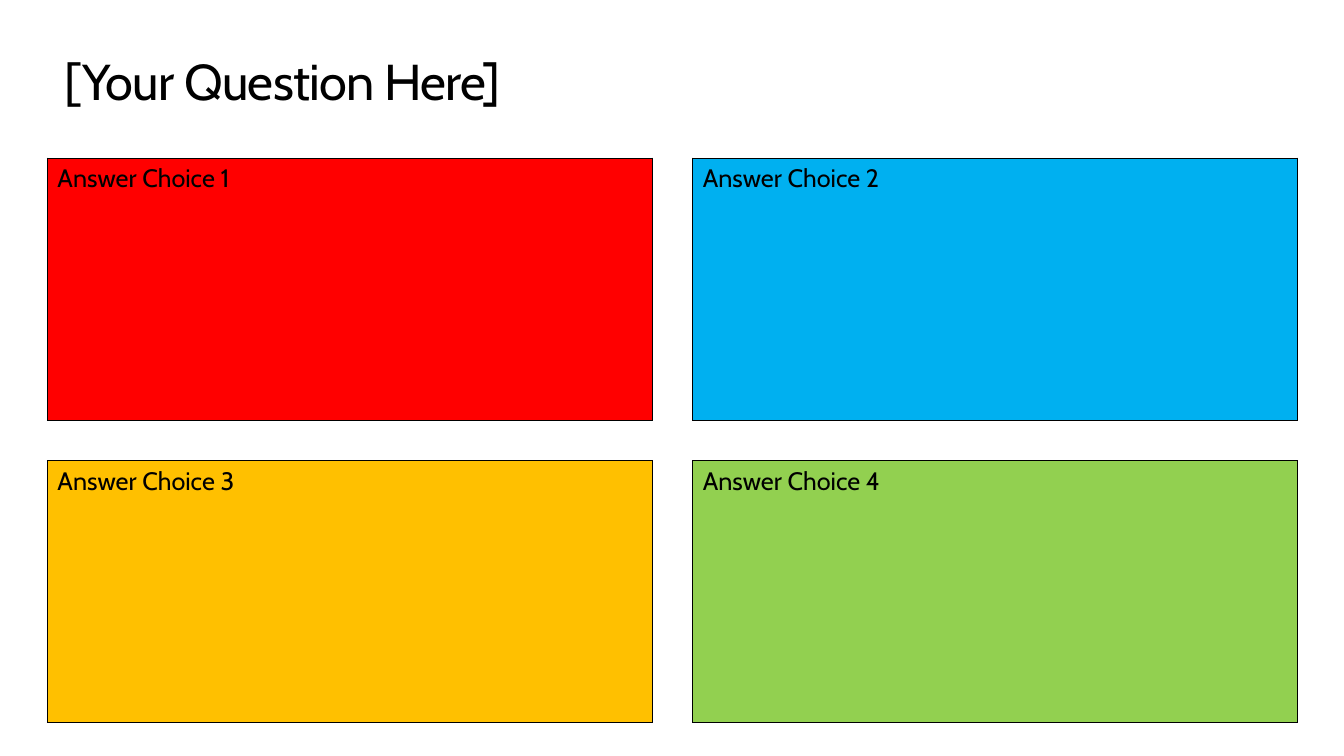
from pptx import Presentation
from pptx.dml.color import RGBColor as Rgb
from pptx.enum.text import MSO_ANCHOR as Anchor
from pptx.oxml import parse_xml
from pptx.oxml.ns import nsdecls
from pptx.util import Inches, Pt


def tint(code):
    return Rgb.from_string(code)


class Quiz:
    """Holds the quiz style and the slide being built."""

    font = "Cabin"
    ink = "000000"

    def __init__(self, deck):
        self.slide = deck.slides.add_slide(deck.slide_layouts[6])

    def style(self, frame, size):
        for run in frame.paragraphs[0].runs:
            run.font.name = self.font
            run.font.size = Pt(size)
            run.font.color.rgb = tint(self.ink)

    def title(self, text, box):
        frame = self.slide.shapes.add_textbox(*map(Inches, box)).text_frame
        frame.word_wrap = True
        frame.margin_left = frame.margin_right = 0
        frame.margin_top = frame.margin_bottom = 0
        frame.text = text
        self.style(frame, 36)
        frame.paragraphs[0].runs[0].font._element.set("spc", "-50")

    def border(self, cell, sides):
        props = cell._tc.get_or_add_tcPr()
        for spot, side in enumerate("LRTB"):
            paint = "<a:noFill/>"
            if side in sides:
                paint = f'<a:solidFill><a:srgbClr val="{self.ink}"/></a:solidFill>'
            line = f'<a:ln{side} {nsdecls("a")} w="{Pt(1)}">{paint}</a:ln{side}>'
            props.insert(spot, parse_xml(line))

    def answer(self, cell, text, fill):
        cell.text = text
        cell.vertical_anchor = Anchor.TOP
        cell.fill.solid()
        cell.fill.fore_color.rgb = tint(fill)
        self.style(cell.text_frame, 18)
        self.border(cell, "LRTB")

    def gap(self, cell, sides):
        cell.margin_top = cell.margin_bottom = 0
        cell.fill.background()
        self.border(cell, sides)

    def grid(self, fills, left, top, widths, heights):
        spots = map(Inches, (left, top, sum(widths), sum(heights)))
        table = self.slide.shapes.add_table(len(heights), len(widths), *spots).table
        table.first_row = table.horz_banding = False
        for col, width in zip(table.columns, widths):
            col.width = Inches(width)
        for row, height in zip(table.rows, heights):
            row.height = Inches(height)
        for y in range(len(heights)):
            for x in range(len(widths)):
                cell = table.cell(y, x)
                if x % 2 or y % 2:
                    sides = ("" if y % 2 else "LR") if x % 2 else "TB"
                    self.gap(cell, sides)
                else:
                    pick = y + x // 2
                    self.answer(cell, f"Answer Choice {pick + 1}", fills[pick])


def main():
    deck = Presentation()
    deck.slide_width = Inches(13.33)
    deck.slide_height = Inches(7.5)
    quiz = Quiz(deck)
    quiz.title("[Your Question Here]", (0.64, 0.5, 12.05, 0.61))
    fills = ("FF0000", "00B0F0", "FFC000", "92D050")
    quiz.grid(fills, 0.47, 1.57, (6, 0.4, 6), (2.6, 0.4, 2.6))
    deck.save("out.pptx")


if __name__ == "__main__":
    main()
